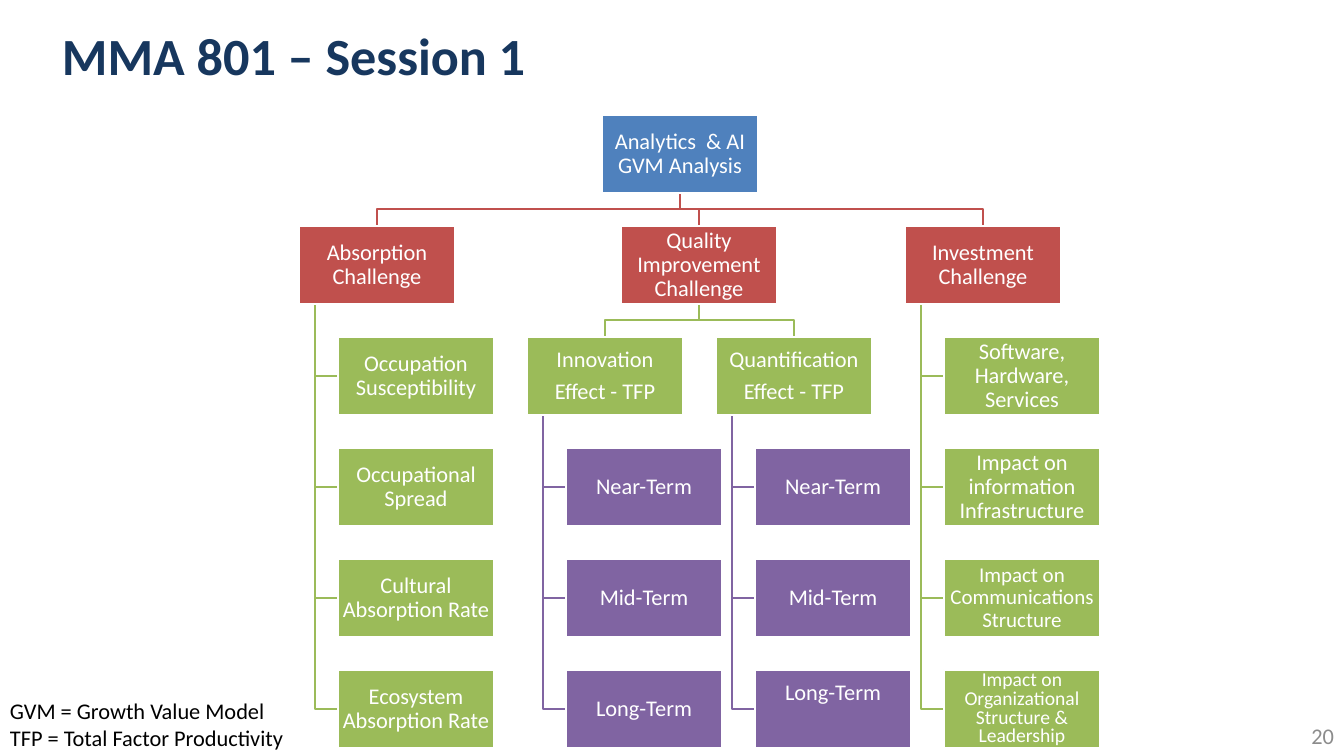
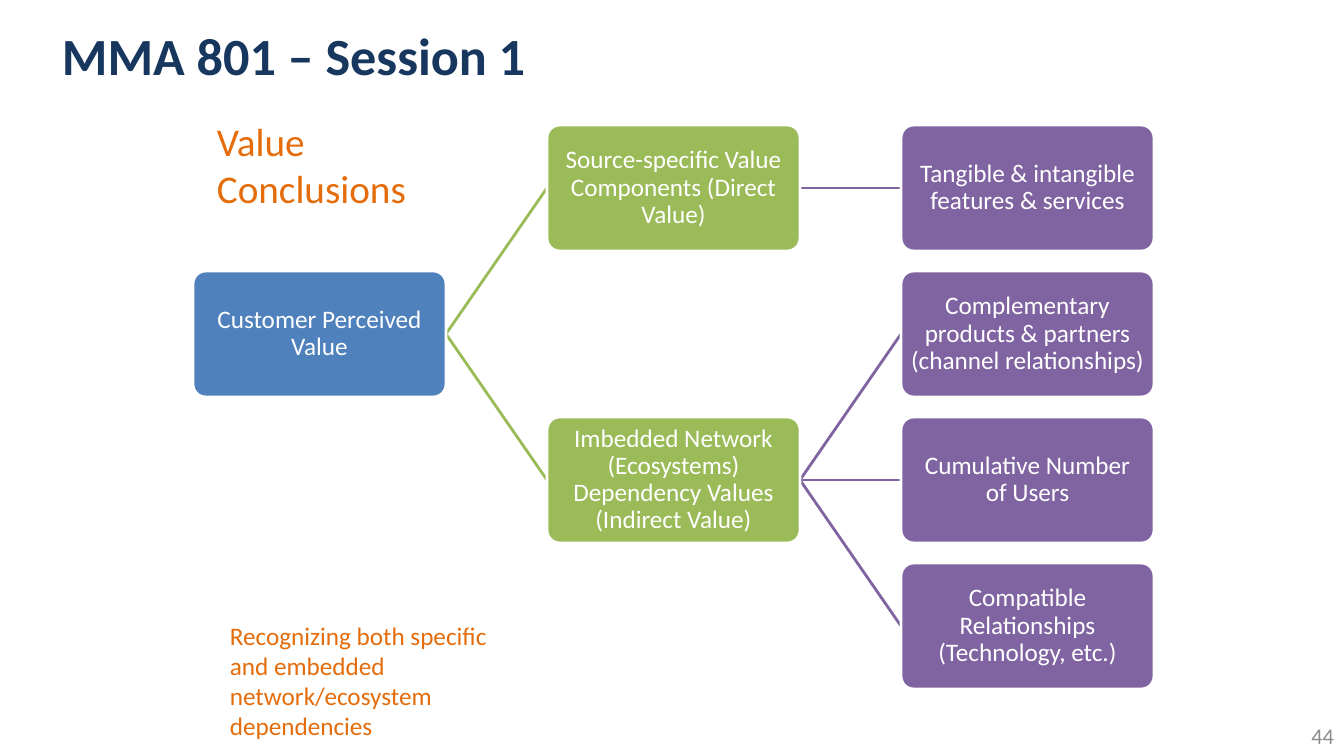
from dataclasses import dataclass

from lxml import etree
from pptx import Presentation
from pptx.dml.color import RGBColor as RGB
from pptx.enum.shapes import MSO_CONNECTOR as LINE, MSO_SHAPE as SHAPE
from pptx.enum.text import MSO_ANCHOR as ANCHOR, PP_ALIGN as ALIGN
from pptx.oxml.ns import qn
from pptx.util import Pt

PX = 9071  # EMU in one px; the slide is 1344 px wide


@dataclass(frozen=True)
class Theme:
    font: str = "Calibri"
    navy: str = "17375E"
    orange: str = "E46C0A"
    grey: str = "8C8C8C"
    black: str = "000000"
    white: str = "FFFFFF"
    levels: tuple = ("4F81BD", "C0504D", "9BBB59", "8064A2")
    title: float = 37.3
    heading: int = 28
    body: int = 18
    small: int = 16
    line: int = 2


theme = Theme()


def write(frame, text, size, color, align=ALIGN.LEFT, anchor=ANCHOR.TOP,
          bold=False, spacing=1.0):
    frame.word_wrap = True
    frame.vertical_anchor = anchor
    frame.text = text
    for index, paragraph in enumerate(frame.paragraphs):
        paragraph.alignment = align
        paragraph.line_spacing = spacing
        if index and align == ALIGN.CENTER:
            paragraph.space_before = Pt(5.6)
        for run in paragraph.runs:
            run.font.name = theme.font
            run.font.size = Pt(size)
            run.font.bold = bold
            run.font.color.rgb = RGB.from_string(color)


def add_node(slide, kind, place, color, text, size, inset, spacing=0.9):
    node = slide.shapes.add_shape(kind, *(v * PX for v in place))
    node.shadow.inherit = False
    node.fill.solid()
    node.fill.fore_color.rgb = RGB.from_string(color)
    node.line.color.rgb = RGB.from_string(theme.white)
    node.line.width = Pt(theme.line)
    frame = node.text_frame
    frame.margin_left = frame.margin_right = inset * PX
    frame.margin_top = frame.margin_bottom = inset * PX
    write(frame, text, size, theme.white, ALIGN.CENTER, ANCHOR.MIDDLE, spacing=spacing)
    return node


deck = Presentation()
deck.slide_width, deck.slide_height = 1344 * PX, 756 * PX

# Shared title and page number
pages = []
for number in ("20", "44"):
    page = deck.slides.add_slide(deck.slide_layouts[6])
    pages.append(page)
    title = page.shapes.add_textbox(52 * PX, 7 * PX, 1103 * PX, 95 * PX)
    write(title.text_frame, "MMA 801 – Session 1", theme.title, theme.navy,
          anchor=ANCHOR.MIDDLE, bold=True)
    corner = page.shapes.add_textbox(1180 * PX, 716 * PX, 164 * PX, 40 * PX)
    write(corner.text_frame, number, theme.small, theme.grey, ALIGN.RIGHT, ANCHOR.MIDDLE)
analysis, value = pages

# Slide 1: challenge hierarchy
WIDE, HIGH, TOP, STEP = 156, 78, 115, 111
STEM, INDENT = 16, 39
terms = ["Near-Term", "Mid-Term", "Long-Term"]
# Parent left, parent row, level of the children, (left, text) of each child
forks = [
    (602, 0, 1, [(299, "Absorption Challenge"),
                 (621, "Quality Improvement Challenge"),
                 (905, "Investment Challenge")]),
    (621, 1, 2, [(527, "Innovation\nEffect - TFP"),
                 (716, "Quantification\nEffect - TFP")]),
]
# Parent left, parent row, level of the children, texts from top to bottom
stacks = [
    (299, 1, 2, ["Occupation Susceptibility", "Occupational Spread",
                 "Cultural Absorption Rate", "Ecosystem Absorption Rate"]),
    (527, 2, 3, terms),
    (716, 2, 3, terms),
    (905, 1, 2, ["Software, Hardware, Services",
                 "Impact on information Infrastructure",
                 "Impact on Communications Structure",
                 "Impact on Organizational Structure & Leadership"]),
]
tight = {"Impact on Communications Structure": (15, 0.9),
         "Impact on Organizational Structure & Leadership": (14, 0.8)}

nodes = [(602, 0, 0, "Analytics  & AI GVM Analysis")]
links = []
for left, row, level, children in forks:
    middle, bottom = left + WIDE // 2, TOP + row * STEP + HIGH
    below = TOP + (row + 1) * STEP
    bend = (bottom + below) // 2
    for child, text in children:
        end = child + WIDE // 2
        links.append((level, [(middle, bottom), (middle, bend), (end, bend), (end, below)]))
        nodes.append((child, row + 1, level, text))
for left, row, level, texts in stacks:
    stem, bottom = left + STEM, TOP + row * STEP + HIGH
    for child_row, text in enumerate(texts, row + 1):
        middle = TOP + child_row * STEP + HIGH // 2
        links.append((level, [(stem, bottom), (stem, middle), (left + INDENT, middle)]))
        nodes.append((left + INDENT, child_row, level, text))

for level, points in links:
    outline = analysis.shapes.build_freeform(*points[0], scale=PX)
    outline.add_line_segments(points[1:], close=False)
    link = outline.convert_to_shape()
    link.shadow.inherit = False
    link.fill.background()
    link.line.color.rgb = RGB.from_string(theme.levels[level])
    link.line.width = Pt(theme.line)
for left, row, level, text in nodes:
    size, spacing = tight.get(text, (theme.small, 0.9))
    node = add_node(analysis, SHAPE.RECTANGLE, (left, TOP + row * STEP, WIDE, HIGH),
                    theme.levels[level], text, size, 1, spacing)
    if text == "Long-Term" and left == 716 + INDENT:
        node.text_frame.margin_bottom = 33 * PX  # this label sits higher

# Slide 2: value tree
CARD_WIDE, CARD_HIGH = 253, 126
CARD_LEFT, CARD_TOP, CARD_ACROSS, CARD_DOWN = 193, 125, 354, 146
# Column, row, text
cards = [
    (0, 1, "Customer Perceived Value"),
    (1, 0, "Source-specific Value Components (Direct Value)"),
    (1, 2, "Imbedded Network (Ecosystems) Dependency Values (Indirect Value)"),
    (2, 0, "Tangible & intangible features & services"),
    (2, 1, "Complementary products & partners (channel relationships)"),
    (2, 2, "Cumulative Number\vof Users"),
    (2, 3, "Compatible Relationships (Technology, etc.)"),
]
# Parent column, parent row, child rows
for column, row, child_rows in [(0, 1, [0, 2]), (1, 0, [0]), (1, 2, [1, 2, 3])]:
    start = CARD_LEFT + column * CARD_ACROSS + CARD_WIDE
    end = CARD_LEFT + (column + 1) * CARD_ACROSS
    for child_row in child_rows:
        from_y, to_y = (CARD_TOP + r * CARD_DOWN + CARD_HIGH // 2 for r in (row, child_row))
        branch = value.shapes.add_connector(
            LINE.STRAIGHT, start * PX, from_y * PX, end * PX, to_y * PX)
        branch.line.color.rgb = RGB.from_string(theme.levels[column + 2])
        branch.line.width = Pt(theme.line)
        etree.SubElement(branch._element.spPr, qn("a:effectLst"))
for column, row, text in cards:
    place = (CARD_LEFT + column * CARD_ACROSS, CARD_TOP + row * CARD_DOWN,
             CARD_WIDE, CARD_HIGH)
    color = theme.levels[column + 1 if column else 0]
    card = add_node(value, SHAPE.ROUNDED_RECTANGLE, place, color, text, theme.body, 5)
    card.adjustments[0] = 0.1

# Captions beside the diagrams
captions = [
    (analysis, (0, 692, 430, 64), theme.small, theme.black,
     "GVM = Growth Value Model\nTFP = Total Factor Productivity"),
    (value, (207, 112, 240, 105), theme.heading, theme.orange, "Value Conclusions"),
    (value, (220, 615, 319, 132), theme.body, theme.orange,
     "Recognizing both specific and embedded network/ecosystem dependencies"),
]
for page, place, size, color, text in captions:
    caption = page.shapes.add_textbox(*(v * PX for v in place))
    write(caption.text_frame, text, size, color)

deck.save("out.pptx")
